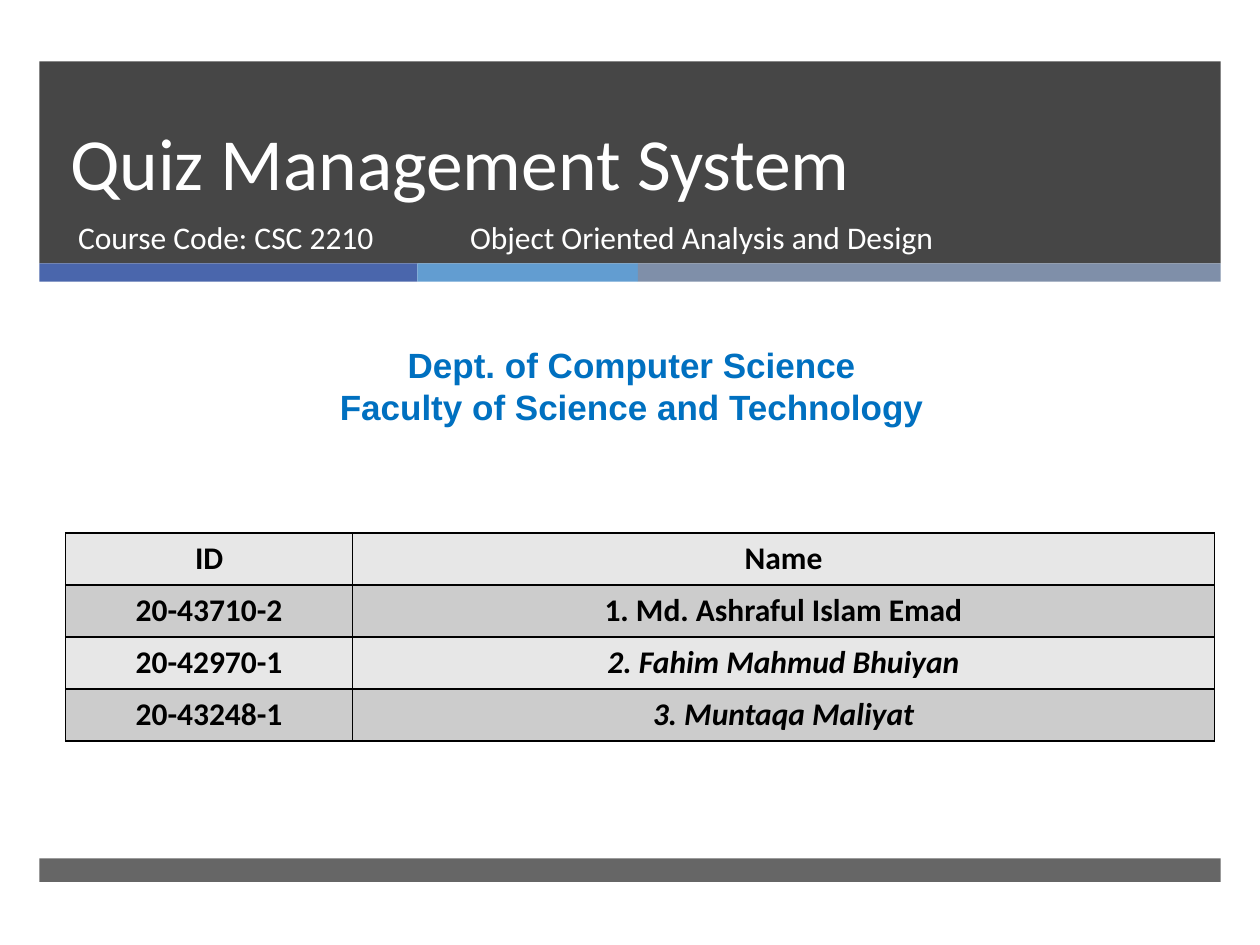
from lxml.etree import SubElement
from pptx import Presentation
from pptx.dml.color import RGBColor
from pptx.enum.shapes import MSO_SHAPE
from pptx.enum.text import MSO_ANCHOR, PP_ALIGN
from pptx.oxml import parse_xml
from pptx.oxml.ns import nsdecls, qn
from pptx.util import Pt

WHITE, BLACK, CHARCOAL, BLUE = "FFFFFF", "000000", "262626", "0070C0"
ROW_FILLS = ("E7E7E7", "CCCCCC")
LEFT, WIDTH = 22.5, 675
STRIPE_TOP, STRIPE_HEIGHT = 150.5, 10.5
STRIPES = ((216, "4A66AC"), (126, "629DD1"), (333, "7F8FA9"))
MEMBERS = (
    ("ID", "Name"),
    ("20-43710-2", "1. Md. Ashraful Islam Emad"),
    ("20-42970-1", "2. Fahim Mahmud Bhuiyan"),
    ("20-43248-1", "3. Muntaqa Maliyat"),
)
ITALIC_ROWS = (2, 3)


def color(value):
    return RGBColor.from_string(value)


def fill_solid(fill, value):
    fill.solid()
    fill.fore_color.rgb = color(value)


def style_paragraph(paragraph, size, value, name="Calibri", bold=False,
                    italic=False, alignment=PP_ALIGN.LEFT):
    paragraph.alignment = alignment
    font = paragraph.font
    font.name, font.size = name, Pt(size)
    font.bold, font.italic = bold, italic
    font.color.rgb = color(value)


def add_bar(slide, left, top, width, height, value, opacity=100):
    shape = slide.shapes.add_shape(
        MSO_SHAPE.RECTANGLE, Pt(left), Pt(top), Pt(width), Pt(height))
    shape.shadow.inherit = False
    shape.line.fill.background()
    fill_solid(shape.fill, value)
    if opacity < 100:
        color_element = next(shape.element.spPr.iter(qn("a:srgbClr")))
        SubElement(color_element, qn("a:alpha"), val=str(opacity * 1000))


def add_text(slide, left, top, width, height, lines, size, value,
             anchor=MSO_ANCHOR.TOP, line_spacing=None, **style):
    box = slide.shapes.add_textbox(Pt(left), Pt(top), Pt(width), Pt(height))
    frame = box.text_frame
    frame.word_wrap = True
    frame.vertical_anchor = anchor
    frame.text = "\n".join(lines)
    for paragraph in frame.paragraphs:
        style_paragraph(paragraph, size, value, **style)
        if line_spacing:
            paragraph.line_spacing = Pt(line_spacing)


def add_borders(cell):
    properties = cell._tc.get_or_add_tcPr()
    for position, side in enumerate(("lnL", "lnR", "lnT", "lnB")):
        properties.insert(position, parse_xml(
            f'<a:{side} {nsdecls("a")} w="{Pt(1)}"><a:solidFill>'
            f'<a:srgbClr val="{BLACK}"/></a:solidFill></a:{side}>'))


def add_member_table(slide, left, top, column_widths, row_height):
    table = slide.shapes.add_table(
        len(MEMBERS), len(column_widths), Pt(left), Pt(top),
        Pt(sum(column_widths)), Pt(row_height * len(MEMBERS))).table
    for column, width in zip(table.columns, column_widths):
        column.width = Pt(width)
    for row_index, values in enumerate(MEMBERS):
        table.rows[row_index].height = Pt(row_height)
        for column_index, text in enumerate(values):
            cell = table.cell(row_index, column_index)
            cell.text = text
            fill_solid(cell.fill, ROW_FILLS[row_index % 2])
            italic = column_index == 1 and row_index in ITALIC_ROWS
            style_paragraph(cell.text_frame.paragraphs[0], 18, BLACK, bold=True,
                            italic=italic, alignment=PP_ALIGN.CENTER)
            add_borders(cell)


def main():
    presentation = Presentation()
    presentation.slide_width, presentation.slide_height = Pt(720), Pt(540)
    slide = presentation.slides.add_slide(presentation.slide_layouts[6])

    add_bar(slide, LEFT, 35, WIDTH, 115.5, CHARCOAL, opacity=85)
    stripe_left = LEFT
    for width, value in STRIPES:
        add_bar(slide, stripe_left, STRIPE_TOP, width, STRIPE_HEIGHT, value)
        stripe_left += width
    add_bar(slide, LEFT, 490.5, WIDTH, 13.5, CHARCOAL, opacity=70)

    add_text(slide, 33, 35, 615, 86, ["Quiz Management System"], 42, WHITE,
             anchor=MSO_ANCHOR.BOTTOM, line_spacing=46)
    add_text(slide, 37.5, 121, 220, 38, ["Course Code: CSC 2210"], 18, WHITE)
    add_text(slide, 261.5, 121, 328, 38,
             ["Object Oriented Analysis and Design"], 18, WHITE)
    add_text(slide, 6, 193, 710, 55.5,
             ["Dept. of Computer Science", "Faculty of Science and Technology"],
             20, BLUE, line_spacing=24, name="Arial", bold=True,
             alignment=PP_ALIGN.CENTER)
    add_member_table(slide, 37.5, 304.5, (164, 492.5), 29.75)

    presentation.save("out.pptx")


main()
